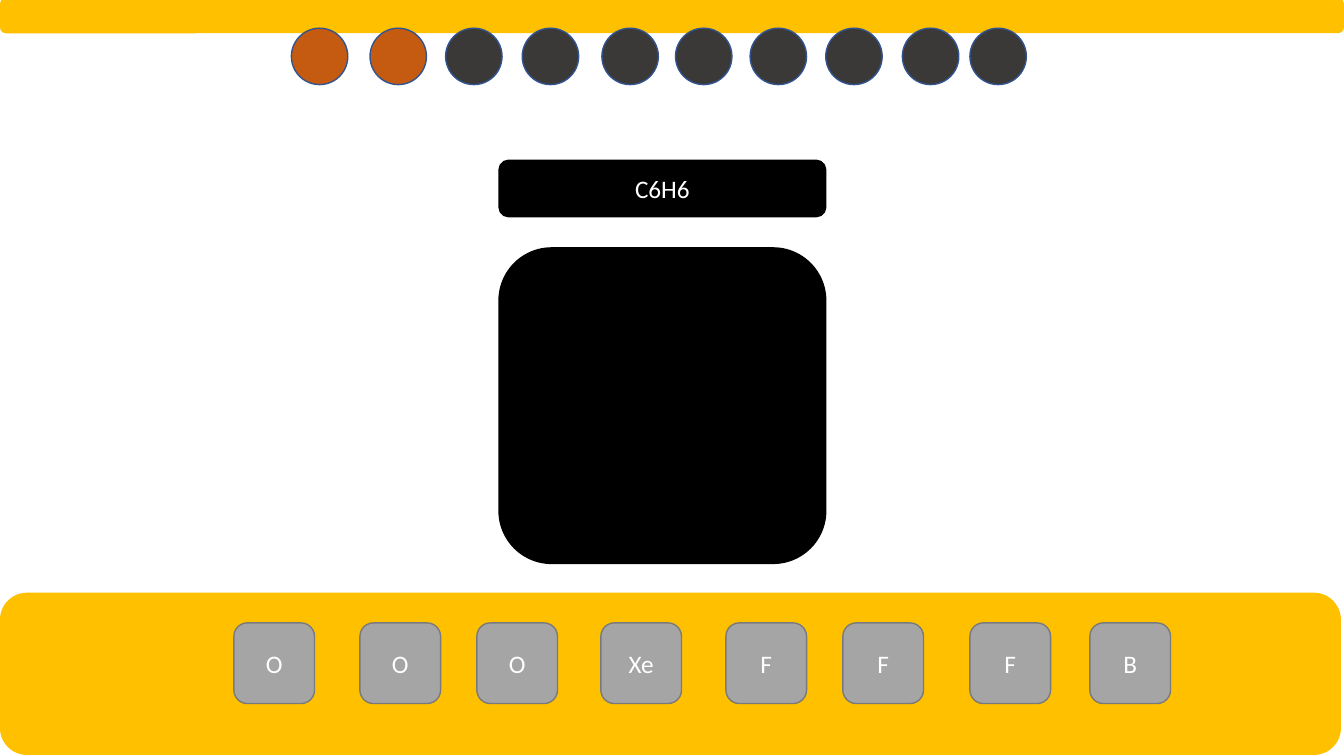
from pptx import Presentation
from pptx.dml.color import RGBColor
from pptx.enum.shapes import MSO_SHAPE as Shape
from pptx.enum.text import MSO_ANCHOR, PP_ALIGN
from pptx.util import Inches, Pt

COLORS = {
    "band": "FFC000",
    "tile": "A5A5A5",
    "tile_line": "7A7A7A",
    "panel": "000000",
    "done": "C55A11",
    "pending": "3B3838",
    "dot_line": "325491",
    "text": "FFFFFF",
}

deck = Presentation()
deck.slide_width = Inches(13.33)
deck.slide_height = Inches(7.5)
page = deck.slides.add_slide(deck.slide_layouts[6])


def add_box(kind, left, top, width, height, fill, line=None, text=""):
    """Add a filled shape, with an outline and a centred label if given."""
    box = page.shapes.add_shape(kind, Inches(left), Inches(top), Inches(width), Inches(height))
    box.shadow.inherit = False
    box.fill.solid()
    box.fill.fore_color.rgb = RGBColor.from_string(COLORS[fill])
    if line:
        box.line.color.rgb = RGBColor.from_string(COLORS[line])
        box.line.width = Pt(1)
    else:
        box.line.fill.background()
    if text:
        frame = box.text_frame
        frame.text = text
        frame.vertical_anchor = MSO_ANCHOR.MIDDLE
        para = frame.paragraphs[0]
        para.alignment = PP_ALIGN.CENTER
        font = para.runs[0].font
        font.name = "Calibri"
        font.size = Pt(18)
        font.color.rgb = RGBColor.from_string(COLORS["text"])


# Atom tiles on the bottom band
add_box(Shape.ROUNDED_RECTANGLE, 0, 5.88, 13.3, 1.61, "band")
atoms = [
    (2.32, "O"), (3.57, "O"), (4.73, "O"), (5.96, "Xe"),
    (7.2, "F"), (8.36, "F"), (9.62, "F"), (10.81, "B"),
]
for left, symbol in atoms:
    add_box(Shape.ROUNDED_RECTANGLE, left, 6.18, 0.8, 0.8, "tile", "tile_line", symbol)

# Formula to build
add_box(Shape.ROUNDED_RECTANGLE, 4.95, 1.59, 3.24, 0.56, "panel", "panel", "C6H6")

# Progress dots over the top band
add_box(Shape.ROUNDED_RECTANGLE, 0, -0.02, 13.33, 0.35, "band")
done_count = 2
dot_lefts = [2.89, 3.67, 4.42, 5.18, 5.97, 6.7, 7.44, 8.19, 8.95, 9.62]
for index, left in enumerate(dot_lefts):
    fill = "done" if index < done_count else "pending"
    add_box(Shape.OVAL, left, 0.28, 0.56, 0.56, fill, "dot_line")

# Building area
add_box(Shape.ROUNDED_RECTANGLE, 4.95, 2.46, 3.24, 3.13, "panel", "panel")

deck.save("out.pptx")
